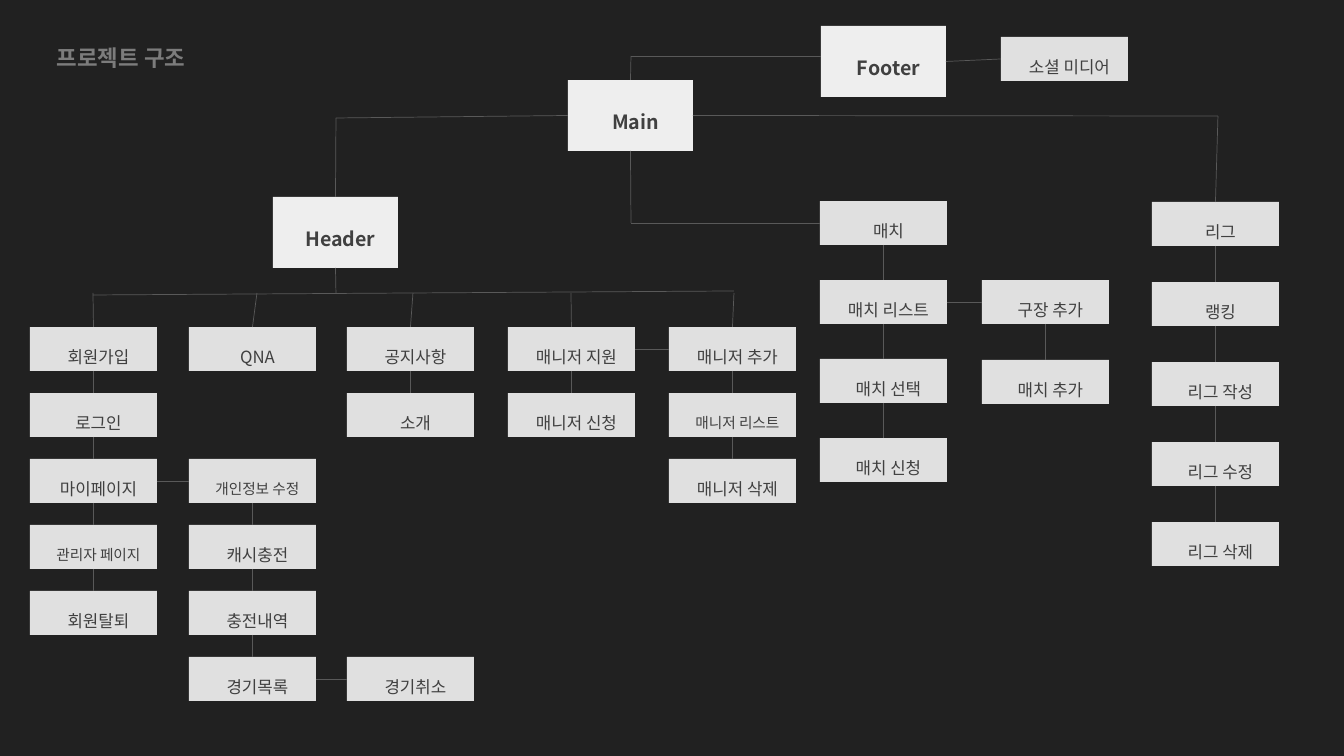
from collections import namedtuple
from dataclasses import dataclass

from lxml.etree import SubElement
from pptx import Presentation
from pptx.dml.color import RGBColor
from pptx.enum.shapes import MSO_CONNECTOR as Connector, MSO_SHAPE as Preset
from pptx.enum.text import MSO_ANCHOR as Anchor, PP_ALIGN as Align
from pptx.oxml.ns import qn
from pptx.util import Pt

EMU_PER_PX = 12192000 / 1344
TOP, LEFT, BOTTOM, RIGHT = range(4)


@dataclass(frozen=True)
class Theme:
    font: str = "Noto Sans CJK KR"
    background: str = "212121"
    section_fill: str = "EEEEEE"
    page_fill: str = "E0E0E0"
    ink: str = "404040"
    title_ink: str = "7C7C7C"
    line: str = "595959"
    title_size: float = 16
    section_size: float = 14
    page_size: float = 12
    long_page_size: float = 10.5
    line_width: float = 0.5


THEME = Theme()
Side = namedtuple("Side", "shape site")
Column = namedtuple("Column", "left top pitch labels")

SECTION_SIZE = (125, 71)
PAGE_SIZE = (127, 44)
LONG_LABELS = {"관리자 페이지", "개인정보 수정", "매니저 리스트"}

SECTIONS = {"Main": (568, 80), "Header": (273, 197), "Footer": (821, 26)}
COLUMNS = [
    Column(30, 327, 66, ["회원가입", "로그인", "마이페이지", "관리자 페이지", "회원탈퇴"]),
    Column(189, 327, 66, ["QNA"]),
    Column(189, 459, 66, ["개인정보 수정", "캐시충전", "충전내역", "경기목록"]),
    Column(347, 327, 66, ["공지사항", "소개"]),
    Column(347, 657, 66, ["경기취소"]),
    Column(508, 327, 66, ["매니저 지원", "매니저 신청"]),
    Column(669, 327, 66, ["매니저 추가", "매니저 리스트", "매니저 삭제"]),
    Column(820, 201, 79, ["매치", "매치 리스트", "매치 선택", "매치 신청"]),
    Column(982, 280, 80, ["구장 추가", "매치 추가"]),
    Column(1152, 202, 80, ["리그", "랭킹", "리그 작성", "리그 수정", "리그 삭제"]),
    Column(1001, 37, 80, ["소셜 미디어"]),
]
SIDE_LINKS = [
    ("마이페이지", "개인정보 수정"),
    ("경기목록", "경기취소"),
    ("매니저 지원", "매니저 추가"),
    ("매치 리스트", "구장 추가"),
    ("Footer", "소셜 미디어"),
]
HEADER_PAGES = {"회원가입": 93, "QNA": 257, "공지사항": 413, "매니저 지원": 571, "매니저 추가": 734}


def px(length):
    return round(length * EMU_PER_PX)


def rgb(color):
    return RGBColor.from_string(color)


def write(shape, text, size, color, bold=False):
    paragraph = shape.text_frame.paragraphs[0]
    paragraph.text = text
    paragraph.line_spacing = 1.5
    font = paragraph.font
    font.name, font.size, font.bold = THEME.font, Pt(size), bold
    font.color.rgb = rgb(color)
    return paragraph


def add_title(slide, text):
    box = slide.shapes.add_textbox(px(47), px(26), px(169), px(45))
    box.text_frame.word_wrap = True
    write(box, text, THEME.title_size, THEME.title_ink, bold=True)


def add_box(slide, text, position, extent, fill, size, top_inset, bold=False):
    shape = slide.shapes.add_shape(Preset.RECTANGLE, *map(px, position + extent))
    shape.shadow.inherit = False
    shape.fill.solid()
    shape.fill.fore_color.rgb = rgb(fill)
    shape.line.fill.background()
    frame = shape.text_frame
    frame.word_wrap = True
    frame.vertical_anchor = Anchor.MIDDLE
    frame.margin_left, frame.margin_right = px(20), px(10)
    frame.margin_top, frame.margin_bottom = px(top_inset), px(5)
    write(shape, text, size, THEME.ink, bold).alignment = Align.CENTER
    return shape


def add_section(slide, text, position):
    return add_box(slide, text, position, SECTION_SIZE, THEME.section_fill,
                   THEME.section_size, top_inset=5, bold=True)


def add_page(slide, text, position):
    size = THEME.long_page_size if text in LONG_LABELS else THEME.page_size
    return add_box(slide, text, position, PAGE_SIZE, THEME.page_fill, size, top_inset=11)


def add_line(slide, start, end):
    """Draw a line; each end is an (x, y) point or the Side of a box."""
    points = [(0, 0) if isinstance(stop, Side) else stop for stop in (start, end)]
    line = slide.shapes.add_connector(
        Connector.STRAIGHT, *(px(value) for point in points for value in point))
    if isinstance(start, Side):
        line.begin_connect(*start)
    if isinstance(end, Side):
        line.end_connect(*end)
    line.line.color.rgb = rgb(THEME.line)
    line.line.width = Pt(THEME.line_width)
    SubElement(line._element.spPr, qn("a:effectLst"))


def add_boxes(slide):
    boxes = {text: add_section(slide, text, position)
             for text, position in SECTIONS.items()}
    for column in COLUMNS:
        for row, text in enumerate(column.labels):
            position = (column.left, column.top + row * column.pitch)
            boxes[text] = add_page(slide, text, position)
    return boxes


def add_page_links(slide, boxes):
    for column in COLUMNS:
        for upper, lower in zip(column.labels, column.labels[1:]):
            add_line(slide, Side(boxes[upper], BOTTOM), Side(boxes[lower], TOP))
    for left, right in SIDE_LINKS:
        add_line(slide, Side(boxes[left], RIGHT), Side(boxes[right], LEFT))


def add_header_branch(slide, boxes):
    add_line(slide, (93, 295), (734, 291))
    add_line(slide, Side(boxes["Header"], BOTTOM), (336, 294))
    for text, x in HEADER_PAGES.items():
        add_line(slide, (x, 293), Side(boxes[text], TOP))


def add_main_branches(slide, boxes):
    main_box = boxes["Main"]
    branches = [
        (LEFT, (336, 118), Side(boxes["Header"], TOP)),
        (TOP, (631, 56), (821, 56)),
        (BOTTOM, (631, 223), Side(boxes["매치"], LEFT)),
        (RIGHT, (1218, 116), Side(boxes["리그"], TOP)),
    ]
    for site, corner, target in branches:
        add_line(slide, Side(main_box, site), corner)
        add_line(slide, corner, target)


def main():
    presentation = Presentation()
    presentation.slide_width, presentation.slide_height = px(1344), px(756)
    slide = presentation.slides.add_slide(presentation.slide_layouts[6])
    slide.background.fill.solid()
    slide.background.fill.fore_color.rgb = rgb(THEME.background)

    add_title(slide, "프로젝트 구조")
    boxes = add_boxes(slide)
    add_page_links(slide, boxes)
    add_header_branch(slide, boxes)
    add_main_branches(slide, boxes)
    presentation.save("out.pptx")


if __name__ == "__main__":
    main()
